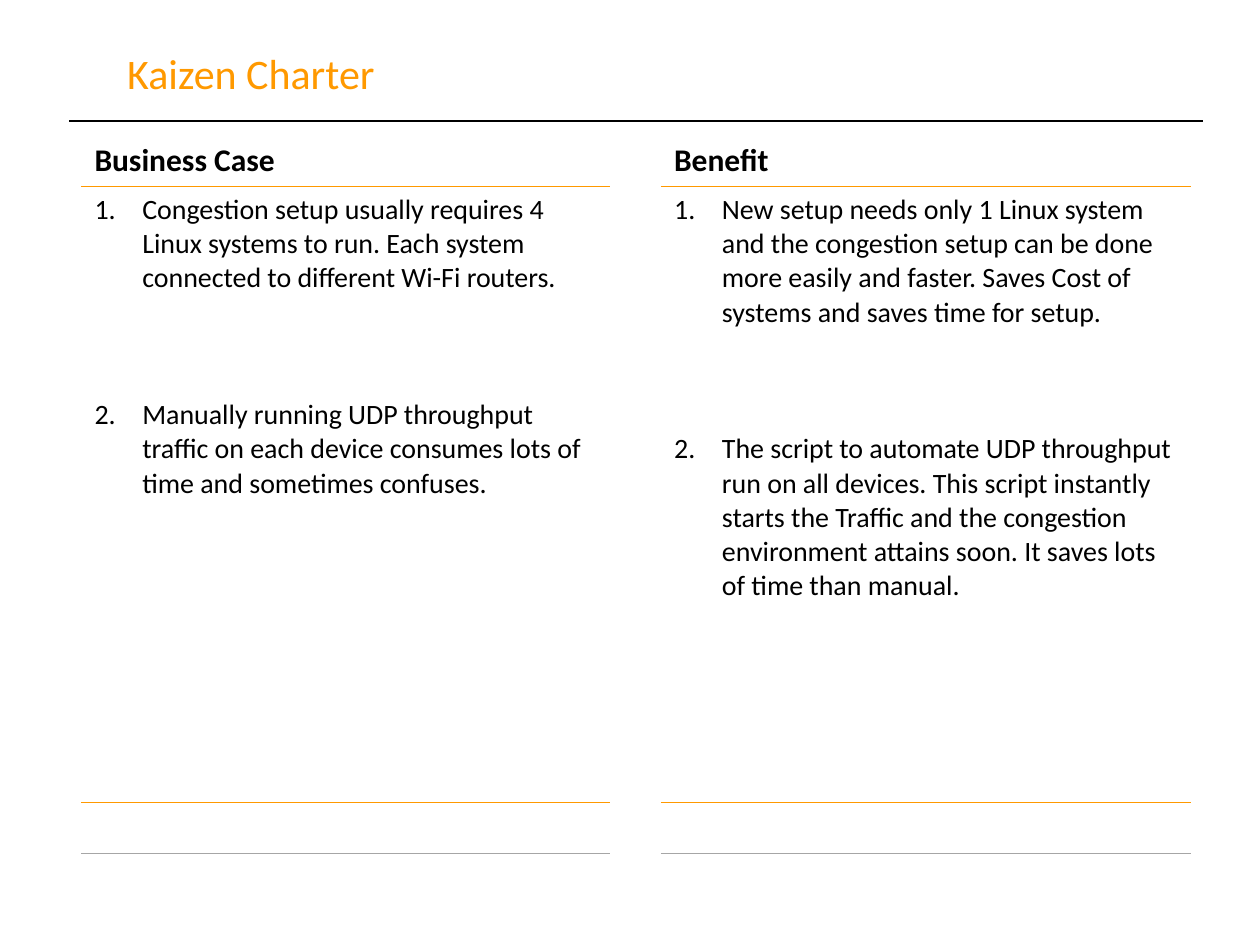
"""Build the Kaizen Charter slide with its business case and benefit table."""
import lxml.etree
import pptx
import pptx.dml.color
import pptx.enum.shapes
import pptx.enum.text
import pptx.oxml.ns
import pptx.util

Inches = pptx.util.Inches
Pt = pptx.util.Pt
RGBColor = pptx.dml.color.RGBColor
qn = pptx.oxml.ns.qn

ORANGE = RGBColor(0xFF, 0x99, 0x00)
BLACK = RGBColor(0x00, 0x00, 0x00)
WHITE = RGBColor(0xFF, 0xFF, 0xFF)
GRAY = RGBColor(0xA6, 0xA6, 0xA6)
FONT = "Calibri"
COLUMN_WIDTHS = [4.2, 0.4, 4.2]
ROW_HEIGHTS = [0.41, 4.89, 0.4, 2.1]
RULES = [(WHITE, 1), (ORANGE, 1), (ORANGE, 1), (GRAY, 0.5), (WHITE, 1)]
BLANK_RULE = (WHITE, 1)
COLUMNS = {
    0: ("Business Case", [
        "Congestion setup usually requires 4 Linux systems to run. Each system "
        "connected to different Wi-Fi routers.",
        "Manually running UDP throughput traffic on each device consumes lots of "
        "time and sometimes confuses.",
    ]),
    2: ("Benefit", [
        "New setup needs only 1 Linux system and the congestion setup can be done "
        "more easily and faster. Saves Cost of systems and saves time for setup.",
        "The script to automate UDP throughput run on all devices. This script "
        "instantly starts the Traffic and the congestion environment attains soon. "
        "It saves lots of time than manual.",
    ]),
}


def set_font(paragraph, size, color=BLACK, bold=False):
    paragraph.font.name = FONT
    paragraph.font.size = Pt(size)
    paragraph.font.color.rgb = color
    paragraph.font.bold = bold


def add_title(slide, text):
    title = slide.shapes.title
    title.left, title.top = Inches(0.91), Inches(0.33)
    title.width, title.height = Inches(8.03), Inches(0.5)
    title.text_frame.text = text
    title.text_frame.vertical_anchor = pptx.enum.text.MSO_ANCHOR.TOP
    paragraph = title.text_frame.paragraphs[0]
    paragraph.alignment = pptx.enum.text.PP_ALIGN.LEFT
    set_font(paragraph, 24, ORANGE)


def add_title_rule(slide):
    rule = slide.shapes.add_connector(
        pptx.enum.shapes.MSO_CONNECTOR.STRAIGHT,
        Inches(0.55), Inches(0.96), Inches(9.55), Inches(0.96))
    rule.line.color.rgb = BLACK
    rule.line.width = Pt(1.5)
    lxml.etree.SubElement(rule._element.spPr, qn("a:effectLst"))


def set_borders(cell, top, bottom):
    properties = cell._tc.get_or_add_tcPr()
    sides = {"a:lnL": BLANK_RULE, "a:lnR": BLANK_RULE, "a:lnT": top, "a:lnB": bottom}
    for tag, (color, width) in sides.items():
        line = lxml.etree.SubElement(properties, qn(tag), w=str(Pt(width)))
        fill = lxml.etree.SubElement(line, qn("a:solidFill"))
        lxml.etree.SubElement(fill, qn("a:srgbClr"), val=str(color))


def fill_numbered_list(cell, items):
    for index, item in enumerate(items):
        frame = cell.text_frame
        paragraph = frame.add_paragraph() if index else frame.paragraphs[0]
        paragraph.text = item
        if index:
            paragraph.space_before = Pt(58.6)
        properties = paragraph._p.get_or_add_pPr()
        properties.set("marL", str(Inches(0.38)))
        properties.set("indent", str(Inches(-0.38)))
        lxml.etree.SubElement(properties, qn("a:buFont"), typeface="+mj-lt")
        lxml.etree.SubElement(properties, qn("a:buAutoNum"), type="arabicPeriod")
        set_font(paragraph, 16)


def add_charter_table(slide):
    frame = slide.shapes.add_table(
        len(ROW_HEIGHTS), len(COLUMN_WIDTHS), Inches(0.65), Inches(1.07),
        Inches(sum(COLUMN_WIDTHS)), Inches(sum(ROW_HEIGHTS)))
    table = frame.table
    table.first_row = table.horz_banding = False
    for column, width in zip(table.columns, COLUMN_WIDTHS):
        column.width = Inches(width)
    for row_index, height in enumerate(ROW_HEIGHTS):
        row = table.rows[row_index]
        row.height = Inches(height)
        for column_index, cell in enumerate(row.cells):
            top, bottom = RULES[row_index:row_index + 2]
            if column_index not in COLUMNS:
                top = bottom = BLANK_RULE
            set_borders(cell, top, bottom)
            cell.fill.background()
    for column_index, (heading, items) in COLUMNS.items():
        heading_cell = table.cell(0, column_index)
        heading_cell.text = heading
        set_font(heading_cell.text_frame.paragraphs[0], 18, bold=True)
        fill_numbered_list(table.cell(1, column_index), items)


def main():
    presentation = pptx.Presentation()
    presentation.slide_width = Inches(10)
    presentation.slide_height = Inches(7.5)
    slide = presentation.slides.add_slide(presentation.slide_layouts[5])
    add_title(slide, "Kaizen Charter")
    add_title_rule(slide)
    add_charter_table(slide)
    presentation.save("out.pptx")


if __name__ == "__main__":
    main()
